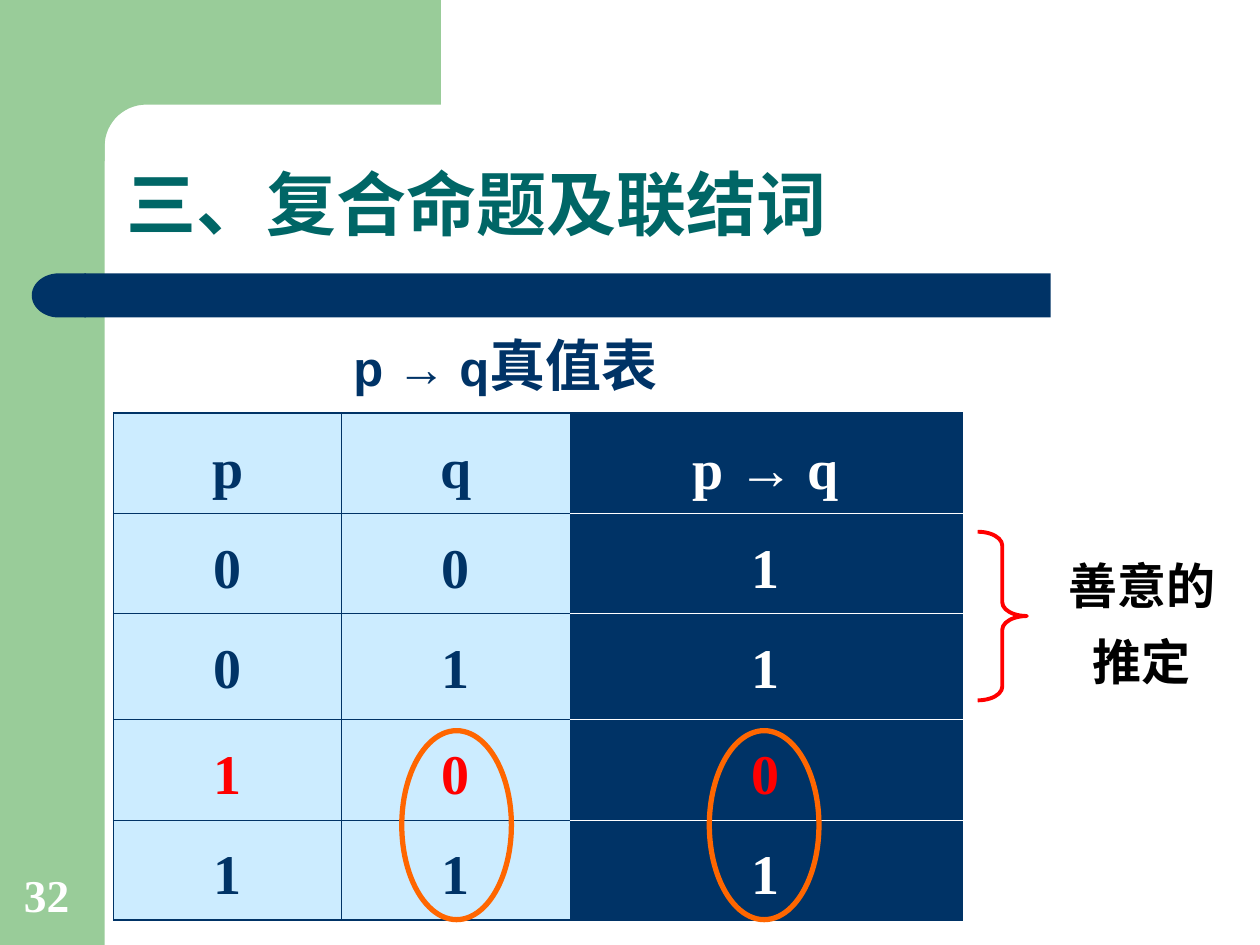
import math

import pptx
import pptx.dml.color
import pptx.enum.shapes
import pptx.enum.text
import pptx.oxml
import pptx.oxml.ns
import pptx.util

Cm = pptx.util.Cm
Pt = pptx.util.Pt
SHAPE = pptx.enum.shapes.MSO_SHAPE
ANCHOR = pptx.enum.text.MSO_ANCHOR
CENTER = pptx.enum.text.PP_ALIGN.CENTER
COLORS = {"green": "99CC99", "navy": "003366", "teal": "006666", "sky": "CCECFF",
          "red": "FF0000", "orange": "FF6600", "white": "FFFFFF", "black": "000000"}
SERIF, SANS = "Times New Roman", "Arial"


def rgb(name):
    return pptx.dml.color.RGBColor.from_string(COLORS[name])


def write_spans(paragraph, spans, color):
    """Add runs given as (text, font, size, bold)."""
    for text, font, size, bold in spans:
        span = paragraph.add_run()
        span.text = text
        span.font.name = font
        span.font.size = Pt(size)
        span.font.bold = bold
        span.font.color.rgb = rgb(color)


deck = pptx.Presentation()
deck.slide_width, deck.slide_height = Cm(25.4), Cm(19.05)
page = deck.slides.add_slide(deck.slide_layouts[6])
shapes = page.shapes

# Green frame with a rounded inner corner, and the navy title bar
sidebar = shapes.add_shape(SHAPE.RECTANGLE, 0, 0, Cm(2.11), deck.slide_height)
center, radius = 2.95, 0.84
arc = [(center - radius * math.sin(math.radians(angle)),
        center - radius * math.cos(math.radians(angle))) for angle in range(0, 91, 6)]
outline = [(8.89, 0), (8.89, center - radius), *arc, (center - radius, 3.25), (1.27, 3.25)]
builder = shapes.build_freeform(Cm(1.27), 0)
builder.add_line_segments([(Cm(x), Cm(y)) for x, y in outline], close=True)
corner = builder.convert_to_shape()
bar = shapes.add_shape(SHAPE.RECTANGLE, Cm(1.7), Cm(5.51), Cm(19.48), Cm(0.89))
cap = shapes.add_shape(SHAPE.FLOWCHART_DELAY, Cm(0.64), Cm(5.51), Cm(1.09), Cm(0.89))
cap.rotation = 180
for shape, color in [(sidebar, "green"), (corner, "green"), (bar, "navy"), (cap, "navy")]:
    shape.shadow.inherit = False
    shape.fill.solid()
    shape.fill.fore_color.rgb = rgb(color)
    shape.line.fill.background()

# Truth table
FORMULA = [("p ", SERIF, 32, True), ("→", SANS, 32, False), (" q", SERIF, 32, True)]
truth_rows = [("p", "q", FORMULA), ("0", "0", "1"), ("0", "1", "1"),
              ("1", "0", "0"), ("1", "1", "1")]
RED_ROW, LAST_ROW, RESULT = 3, len(truth_rows) - 1, 2
table = shapes.add_table(5, 3, Cm(2.29), Cm(8.33), Cm(17.1), Cm(10.22)).table
table.first_row = table.horz_banding = False
for column, width in zip(table.columns, (4.6, 4.6, 7.9)):
    column.width = Cm(width)
for row, height in zip(table.rows, (2.02, 2.02, 2.14, 2.02, 2.02)):
    row.height = Cm(height)

for i, values in enumerate(truth_rows):
    for j, value in enumerate(values):
        cell = table.cell(i, j)
        is_result = j == RESULT
        cell.fill.solid()
        cell.fill.fore_color.rgb = rgb("navy" if is_result else "sky")
        paragraph = cell.text_frame.paragraphs[0]
        paragraph.alignment = CENTER
        paragraph.line_spacing = 1.3
        spans = [(value, SERIF, 32, True)] if isinstance(value, str) else value
        color = "red" if i == RED_ROW else "white" if is_result else "navy"
        write_spans(paragraph, spans, color)
        outer = {"L": j == 0, "R": j == RESULT, "T": i == 0, "B": i == LAST_ROW}
        properties = cell._tc.get_or_add_tcPr()
        for k, (side, on_edge) in enumerate(outer.items()):
            inner_white = is_result and side in "TB" and not on_edge
            line_color = COLORS["white" if inner_white else "navy"]
            width = Pt(1.08 if on_edge else 0.45)
            properties.insert(k, pptx.oxml.parse_xml(
                f'<a:ln{side} {pptx.oxml.ns.nsdecls("a")} w="{width}"><a:solidFill>'
                f'<a:srgbClr val="{line_color}"/></a:solidFill></a:ln{side}>'))

# Texts: left, top, width, height, anchor, alignment, line spacing, colour, spans
texts = [
    (2.31, 2.31, 21.62, 2.77, ANCHOR.BOTTOM, None, 0.9, "teal",
     [("三", SERIF, 40, True), ("、复合命题及联结词", SANS, 40, True)]),
    (5.49, 6.53, 9.4, 1.63, ANCHOR.TOP, CENTER, None, "navy",
     [("p ", SANS, 28, True), ("→", SANS, 28, False), (" q", SANS, 28, True),
      ("真值表", SANS, 32, True)]),
    (21.11, 10.72, 3.81, 3.35, ANCHOR.TOP, CENTER, 1.3, "black",
     [("善意的推定", SANS, 28, True)]),
    (0.23, 17.35, 1.63, 1.35, ANCHOR.BOTTOM, None, None, "white",
     [("32", SERIF, 26, True)]),
]
for left, top, width, height, anchor, alignment, spacing, color, spans in texts:
    box = shapes.add_textbox(Cm(left), Cm(top), Cm(width), Cm(height))
    box.text_frame.word_wrap = True
    box.text_frame.vertical_anchor = anchor
    paragraph = box.text_frame.paragraphs[0]
    paragraph.alignment = alignment
    paragraph.line_spacing = spacing
    write_spans(paragraph, spans, color)

# Brace beside the two upper rows, rings around the last two rows
brace = shapes.add_shape(SHAPE.RIGHT_BRACE, Cm(19.71), Cm(10.72), Cm(0.99), Cm(3.4))
brace.adjustments[0] = 0.28
marks = [(brace, "red", 2.25)]
for left in (8.1, 14.3):
    ring = shapes.add_shape(SHAPE.OVAL, Cm(left), Cm(14.73), Cm(2.21), Cm(3.81))
    marks.append((ring, "orange", 3))
for mark, color, width in marks:
    mark.shadow.inherit = False
    mark.fill.background()
    mark.line.color.rgb = rgb(color)
    mark.line.width = Pt(width)

deck.save("out.pptx")
